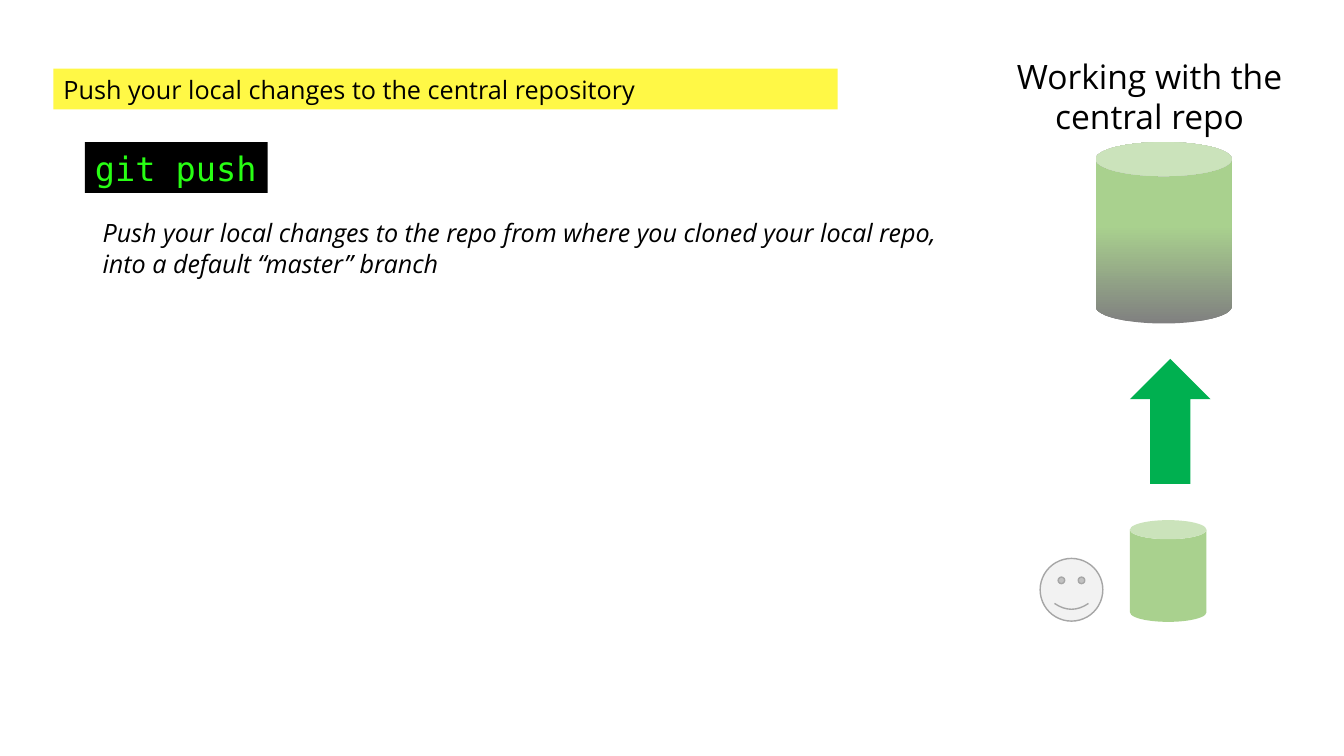
from pptx import Presentation
from pptx.dml.color import RGBColor
from pptx.enum.shapes import MSO_SHAPE as Preset
from pptx.enum.text import MSO_ANCHOR as Anchor, MSO_AUTO_SIZE as AutoSize, PP_ALIGN as Align
from pptx.util import Pt

BLACK = RGBColor(0x00, 0x00, 0x00)
YELLOW = RGBColor(0xFF, 0xF8, 0x46)
TERMINAL_GREEN = RGBColor(0x28, 0xFE, 0x14)
REPO_GREEN = RGBColor(0xA9, 0xD1, 0x8E)
ARROW_GREEN = RGBColor(0x00, 0xB0, 0x50)
GRAY = RGBColor(0x80, 0x80, 0x80)
FACE_FILL = RGBColor(0xF2, 0xF2, 0xF2)
FACE_LINE = RGBColor(0xA6, 0xA6, 0xA6)

BODY = {"name": "Open Sans", "size": Pt(18), "italic": False}
NOTE = {**BODY, "italic": True}
TITLE = {**BODY, "size": Pt(24)}
COMMAND = {**TITLE, "name": "DejaVu Sans Mono"}


def write_text(shape, lines, font, color=BLACK, align=Align.LEFT, anchor=Anchor.TOP, wrap=True):
    frame = shape.text_frame
    frame.text = "\n".join(lines)
    layout = {
        "word_wrap": wrap, "auto_size": AutoSize.NONE, "vertical_anchor": anchor,
        "margin_left": Pt(7.2), "margin_right": Pt(7.2),
        "margin_top": Pt(3.6), "margin_bottom": Pt(3.6),
    }
    for name, value in layout.items():
        setattr(frame, name, value)
    for paragraph in frame.paragraphs:
        for name, value in {"alignment": align, "line_spacing": 1.0, "space_before": Pt(0)}.items():
            setattr(paragraph, name, value)
        run_font = paragraph.runs[0].font
        for name, value in font.items():
            setattr(run_font, name, value)
        run_font.color.rgb = color


def add_preset(slide, preset, left, top, width, height, fill):
    shape = slide.shapes.add_shape(preset, Pt(left), Pt(top), Pt(width), Pt(height))
    shape.shadow.inherit = False
    shape.fill.solid()
    shape.fill.fore_color.rgb = fill
    shape.line.fill.background()
    return shape


def place_title(slide, left, top, width, height):
    title = slide.shapes.title
    box = {"left": left, "top": top, "width": width, "height": height}
    for name, value in box.items():
        setattr(title, name, Pt(value))
    write_text(title, ["Working with the ", "central repo"], TITLE, align=Align.CENTER, wrap=False)


def draw_repositories(slide, left, top):
    central = add_preset(slide, Preset.CAN, left + 39.6, top, 97.2, 129.6, REPO_GREEN)
    central.fill.gradient()
    central.fill.gradient_angle = 90
    stops = central.fill.gradient_stops
    for stop, position, color in zip(stops, (0, 0.54), (GRAY, REPO_GREEN)):
        stop.position = position
        stop.color.rgb = color

    add_preset(slide, Preset.CAN, left + 64.1, top + 270, 54.7, 72.7, REPO_GREEN)
    user = add_preset(slide, Preset.SMILEY_FACE, left, top + 297.4, 44.8, 44.8, FACE_FILL)
    user.line.color.rgb = FACE_LINE
    user.line.width = Pt(1)
    add_preset(slide, Preset.UP_ARROW, left + 64.1, top + 154.8, 57.6, 89.3, ARROW_GREEN)


def explain_push(slide, left, top, width):
    heading = add_preset(slide, Preset.RECTANGLE, left, top, width, 29.1, YELLOW)
    write_text(heading, ["Push your local changes to the central repository"], BODY,
               anchor=Anchor.MIDDLE)

    command = add_preset(slide, Preset.RECTANGLE, left + 22.5, top + 52.4, 130.5, 36.4, BLACK)
    write_text(command, ["git push"], COMMAND, TERMINAL_GREEN, anchor=Anchor.MIDDLE, wrap=False)

    note = slide.shapes.add_textbox(Pt(left + 28), Pt(top + 102.8), Pt(621.4), Pt(51))
    write_text(note, ["Push your local changes to the repo from where you cloned your "
                      "local repo, into a default “master” branch"], NOTE)


presentation = Presentation()
presentation.slide_width = Pt(960)
presentation.slide_height = Pt(540)
slide = presentation.slides.add_slide(presentation.slide_layouts[5])
place_title(slide, 716.4, 36, 209.5, 65.5)
draw_repositories(slide, 743, 101.5)
explain_push(slide, 38.2, 49.1, 560.2)
presentation.save("out.pptx")
